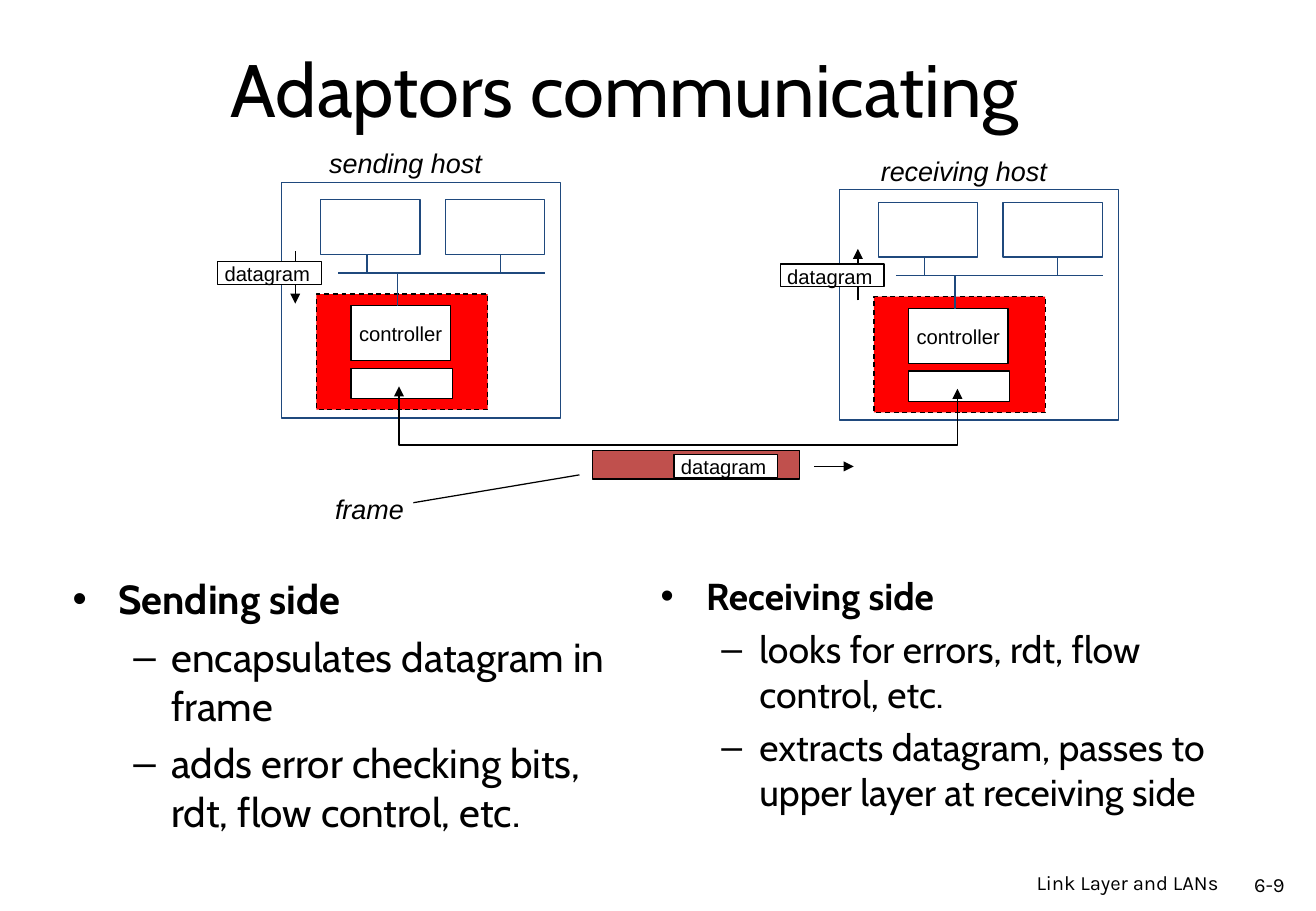
from lxml.etree import SubElement
from pptx import Presentation
from pptx.dml.color import RGBColor
from pptx.enum.dml import MSO_LINE
from pptx.enum.shapes import MSO_CONNECTOR, MSO_SHAPE
from pptx.enum.text import MSO_ANCHOR, PP_ALIGN
from pptx.oxml.ns import qn
from pptx.util import Pt

BLACK = RGBColor(0, 0, 0)
WHITE = RGBColor(255, 255, 255)
NAVY = RGBColor(0x1F, 0x49, 0x7D)
RED = RGBColor(255, 0, 0)
BRICK = RGBColor(0xC0, 0x50, 0x4D)
RECT, LINE = MSO_SHAPE.RECTANGLE, MSO_CONNECTOR.STRAIGHT
DASH = MSO_LINE.DASH
LEFT, MID, RIGHT = PP_ALIGN.LEFT, PP_ALIGN.CENTER, PP_ALIGN.RIGHT
TOP, CENTER = MSO_ANCHOR.TOP, MSO_ANCHOR.MIDDLE


class Sketch:
    """Holds the slide and its style, and draws each kind of element."""

    def __init__(self, slide):
        self.slide = slide
        self.shapes = slide.shapes
        self.face, self.head, self.foot = "Arial", "Cabin", "Karla"
        self.width = 0.75

    def style(self, para, size, face, bold=False, italic=False):
        font = para.font
        font.name, font.size = face, Pt(size)
        font.bold, font.italic = bold, italic
        font.color.rgb = BLACK

    def ink(self, item, color):
        item.line.color.rgb = color
        item.line.width = Pt(self.width)

    def tips(self, item, *ends):
        line = item._element.spPr.find(qn("a:ln"))
        for end in ends:
            SubElement(line, qn("a:" + end), type="triangle")

    def title(self, text, *area):
        box = self.shapes.title
        box.left, box.top, box.width, box.height = map(Pt, area)
        frame = box.text_frame
        frame.text = text
        frame.vertical_anchor = CENTER
        frame.paragraphs[0].alignment = MID
        self.style(frame.paragraphs[0], 44, self.head)

    def rect(self, *area, fill=WHITE, edge=BLACK, dash=None, text=None):
        box = self.shapes.add_shape(RECT, *map(Pt, area))
        box.shadow.inherit = False
        box.fill.solid()
        box.fill.fore_color.rgb = fill
        self.ink(box, edge)
        if dash:
            box.line.dash_style = dash
        if text:
            frame = box.text_frame
            frame.text = text
            frame.word_wrap = False
            frame.vertical_anchor = CENTER
            frame.paragraphs[0].alignment = MID
            self.style(frame.paragraphs[0], 12, self.face)

    def line(self, x1, y1, x2, y2, color=BLACK, tip=False):
        item = self.shapes.add_connector(LINE, Pt(x1), Pt(y1), Pt(x2), Pt(y2))
        self.ink(item, color)
        SubElement(item._element.spPr, qn("a:effectLst"))
        if tip:
            self.tips(item, "tailEnd")

    def link(self, start, *points):
        pen = self.shapes.build_freeform(*map(Pt, start))
        pen.add_line_segments([(Pt(x), Pt(y)) for x, y in points], close=False)
        item = pen.convert_to_shape()
        item.shadow.inherit = False
        item.fill.background()
        self.ink(item, BLACK)
        self.tips(item, "headEnd", "tailEnd")

    def label(self, text, *area, size=16, face=None, italic=True,
              align=LEFT, anchor=TOP):
        frame = self.shapes.add_textbox(*map(Pt, area)).text_frame
        frame.text = text
        frame.word_wrap = False
        frame.vertical_anchor = anchor
        frame.paragraphs[0].alignment = align
        self.style(frame.paragraphs[0], size, face or self.face, italic=italic)

    def footer(self, text, *area):
        self.label(text, *area, size=12, face=self.foot, italic=False,
                   align=RIGHT, anchor=CENTER)

    def bullets(self, area, size, texts):
        frame = self.shapes.add_textbox(*map(Pt, area)).text_frame
        frame.word_wrap = True
        for i, text in enumerate(texts):
            para = frame.add_paragraph() if i else frame.paragraphs[0]
            para.text = text
            if i:
                para.level = 1
                para.space_before = Pt(round(size * 0.22, 1))
            props = para._p.get_or_add_pPr()
            props.set("marL", str(Pt(58.5 if i else 27)))
            props.set("indent", str(Pt(-22.5 if i else -27)))
            SubElement(props, qn("a:buFont"), typeface=self.face)
            SubElement(props, qn("a:buChar"), char="–" if i else "•")
            self.style(para, size, self.head, bold=not i)

    def packet(self, x, y):
        self.rect(x, y, 61.5, 13.5)
        self.label("datagram", x - 3, y - 3.5, 65.5, 21.5, size=12, italic=False)

    def host(self, x, y, top, height):
        self.rect(x, top, 165.5, height, edge=NAVY)
        self.rect(x + 20.5, y + 66, 101.5, 68.5, fill=RED, dash=DASH)
        self.rect(x + 41, y + 110, 60, 18)
        self.rect(x + 41, y + 73, 59, 32.5, text="controller")
        bus = y + 53.5
        self.line(x + 33.5, bus, x + 156, bus, NAVY)
        self.line(x + 68.5, bus, x + 68.5, y + 73, NAVY)
        for left, stub in ((23, 50.5), (97, 129.5)):
            self.rect(x + left, y + 10, 59, 32.5, edge=NAVY)
            self.line(x + stub, y + 42.5, x + stub, bus, NAVY)


def main():
    deck = Presentation()
    deck.slide_width, deck.slide_height = Pt(780), Pt(540)
    page = Sketch(deck.slides.add_slide(deck.slide_layouts[5]))
    page.title("Adaptors communicating", 39, 7, 663, 90)
    page.bullets((36, 337, 347, 153), 24, [
        "Sending side", "encapsulates datagram in frame",
        "adds error checking bits, rdt, flow control, etc."])
    page.bullets((384.5, 336, 349, 145.5), 22.2, [
        "Receiving side", "looks for errors, rdt, flow control, etc.",
        "extracts datagram, passes to upper layer at receiving side"])

    page.host(167, 108.3, 108.3, 139.5)
    page.host(497.5, 109.9, 112.5, 136.5)
    page.label("sending host", 188, 83.5, 106, 26.5)
    page.label("receiving host", 515, 88, 114.5, 26.5)
    page.line(175, 149, 175, 180, tip=True)
    page.packet(129, 155)
    page.line(508.5, 178, 508.5, 147.5, tip=True)
    page.packet(462.5, 156.5)

    page.link((236.5, 229), (236.5, 263.8), (567.5, 263.8), (567.5, 230.5))
    page.rect(351, 267, 123, 17, fill=BRICK)
    page.packet(399.5, 269.5)
    page.line(482.5, 276.5, 506, 276.5, tip=True)
    page.label("frame", 191.5, 288.5, 56, 26.5)
    page.line(245, 298, 343.5, 281.5)

    page.footer("6-9", 721.5, 513.5, 47, 21.5)
    page.footer("Link Layer and LANs", 543.5, 513.5, 186, 18.5)
    deck.save("out.pptx")


if __name__ == "__main__":
    main()
